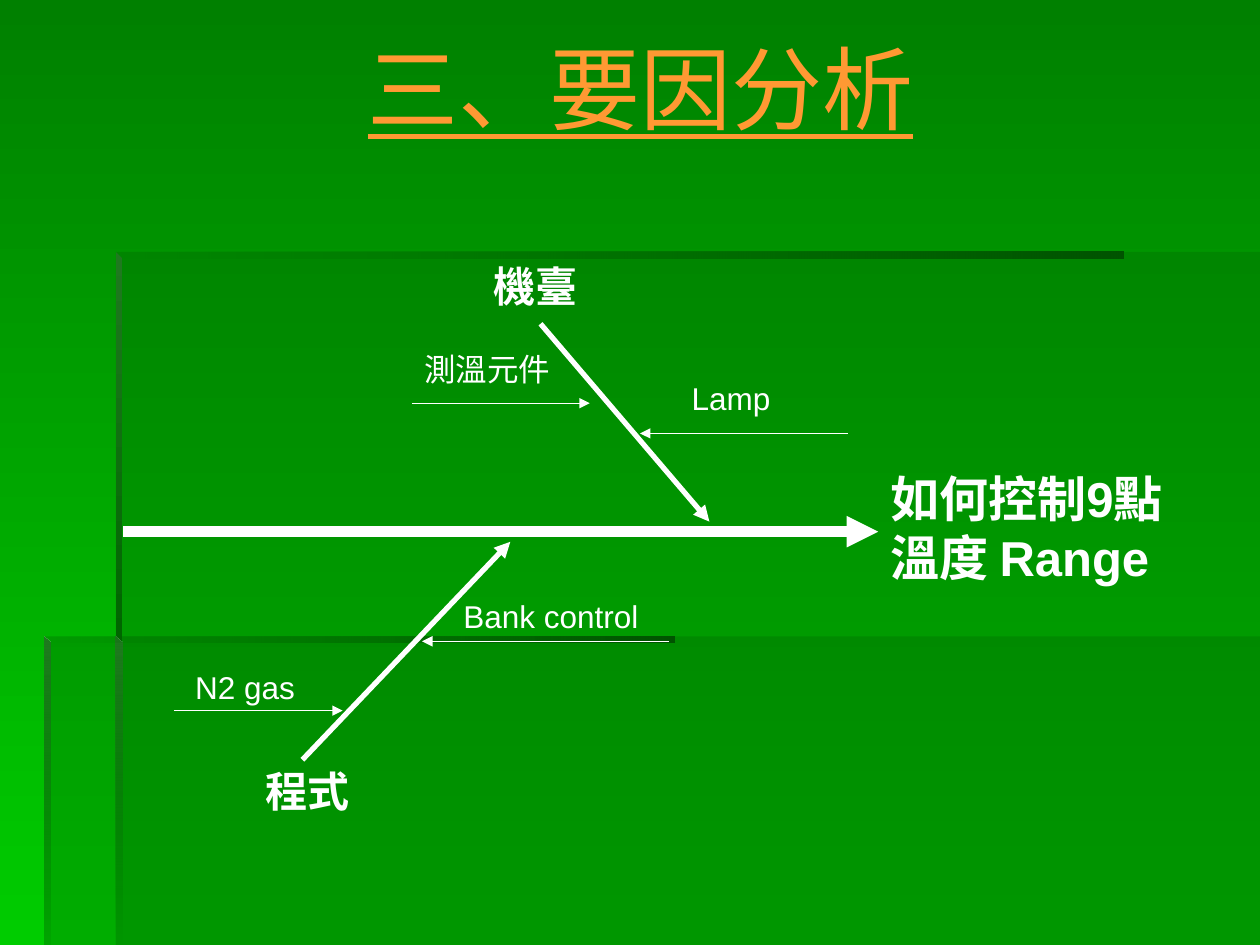
import pptx
import pptx.util
import pptx.dml.color
import pptx.enum.shapes
import pptx.enum.text
import pptx.oxml.ns
from lxml import etree

RGBColor = pptx.dml.color.RGBColor
WHITE = RGBColor(0xFF, 0xFF, 0xFF)
ORANGE = RGBColor(0xFF, 0x99, 0x33)
TOP_GREEN = RGBColor(0x00, 0x80, 0x00)
BOTTOM_GREEN = RGBColor(0x00, 0xCC, 0x00)
PANEL = RGBColor(0x00, 0x66, 0x00)
SHADE = RGBColor(0x00, 0x54, 0x00)
LIGHT = RGBColor(0x1F, 0x79, 0x1F)

COLS, ROWS = 100, 75  # grid over the whole slide
CELL = pptx.util.Inches(0.1)
EDGE = 0.5            # thickness of a bevel, in cells
qn = pptx.oxml.ns.qn


def cells(n):
    return pptx.util.Emu(round(n * CELL))


def write(tf, text, size, color=WHITE, font="Arial", bold=False,
          underline=False, align=None):
    p = tf.paragraphs[0]
    p.alignment = align
    r = p.add_run()
    r.text = text
    f = r.font
    f.size, f.name, f.bold, f.underline = pptx.util.Pt(size), font, bold, underline
    f.color.rgb = color


def label(s, box, x, y, w, h, text, size, bold=False):
    tb = s.shapes.add_textbox(*map(cells, (box[0] + x, box[1] + y, w, h)))
    tb.text_frame.word_wrap = True
    write(tb.text_frame, text, size, bold=bold)


def arrow(s, box, start, end, width):
    x, y = box[:2]
    c = s.shapes.add_connector(
        pptx.enum.shapes.MSO_CONNECTOR.STRAIGHT,
        cells(x + start[0]), cells(y + start[1]),
        cells(x + end[0]), cells(y + end[1]))
    c.line.color.rgb = WHITE
    c.line.width = pptx.util.Pt(width)
    spPr = c._element.spPr
    etree.SubElement(spPr.find(qn("a:ln")), qn("a:tailEnd"), type="triangle")
    etree.SubElement(spPr, qn("a:effectLst"))


def set_alpha(element, percent):
    for clr in element.iter(qn("a:srgbClr")):
        etree.SubElement(clr, qn("a:alpha"), val=str(percent * 1000))


def gradient(fill, colors, angle):
    fill.gradient()
    fill.gradient_angle = angle
    for stop, color in zip(fill.gradient_stops, colors):
        stop.color.rgb = color


def outline(s, points):
    pts = [(cells(x), cells(y)) for x, y in points]
    fb = s.shapes.build_freeform(*pts[0])
    fb.add_line_segments(pts[1:], close=True)
    sp = fb.convert_to_shape()
    sp.shadow.inherit = False
    sp.line.fill.background()
    return sp


def panel(s, points):
    sp = outline(s, points)
    sp.fill.solid()
    sp.fill.fore_color.rgb = PANEL
    set_alpha(sp._element.spPr, 30)


def bevel(s, points, colors, alphas, angle):
    sp = outline(s, points)
    gradient(sp.fill, colors, angle)
    for gs, alpha in zip(sp._element.spPr.iter(qn("a:gs")), alphas):
        set_alpha(gs, alpha)


def top_bevel(s, x, y, length):
    bevel(s, [(x, y), (x, y + EDGE), (x + length, y + EDGE), (x + length, y)],
          (PANEL, SHADE), (0, 100), 0)


def side_bevel(s, x, y, bottom, end_alpha):
    bevel(s, [(x, y), (x, bottom), (x + EDGE, bottom), (x + EDGE, y + EDGE)],
          (LIGHT, PANEL), (100, end_alpha), 270)


def backdrop(s, box):
    """Two overlapping sunken panels that run off the right and bottom edges."""
    left, top, right, bottom = box
    inner, step = left + 5.7, top + 30.5
    panel(s, [(inner, step), (inner, bottom), (right, bottom), (right, step)])
    panel(s, [(inner, step), (left, step), (left, bottom), (right, bottom),
              (right, top), (inner, top)])
    top_bevel(s, inner, top, 80)
    side_bevel(s, inner, top, step + EDGE, 100)
    side_bevel(s, inner, step, bottom, 0)
    top_bevel(s, left, step, 50)
    side_bevel(s, left, step, bottom, 10)


def title(s, box, text):
    sp = s.shapes.title
    sp.left, sp.top, sp.width, sp.height = map(cells, box)
    tf = sp.text_frame
    tf.auto_size = pptx.enum.text.MSO_AUTO_SIZE.NONE
    tf.vertical_anchor = pptx.enum.text.MSO_ANCHOR.MIDDLE
    tf.margin_bottom = cells(box[3] / 2)  # keeps the heading in the upper half
    write(tf, text, 52, ORANGE, "Montserrat", underline=True,
          align=pptx.enum.text.PP_ALIGN.CENTER)


def fishbone(s, box):
    spine = box[3] / 2
    arrow(s, box, (0, spine), (59.9, spine), 6)
    for start, end in [((33.1, 5.5), (46.5, 21.2)), ((14.2, 40.1), (30.7, 22.8))]:
        arrow(s, box, start, end, 3)
    for x1, x2, y, tx, ty, tw, text in [
            (4, 17.4, 36.2, 4.7, 32.3, 13.4, "N2 gas"),
            (43.3, 23.7, 30.7, 26, 26.7, 25.2, "Bank control"),
            (22.9, 37, 11.8, 22.9, 7.1, 12.6, "測溫元件"),
            (57.5, 41, 14.2, 44.1, 9.4, 15, "Lamp")]:
        arrow(s, box, (x1, y), (x2, y), 0.75)
        label(s, box, tx, ty, tw, 4, text, 18)
    label(s, box, 10.3, 40.1, 11, 5, "程式", 24, bold=True)
    label(s, box, 28.4, 0, 12.6, 5, "機臺", 24, bold=True)
    label(s, box, 59.9, 16.5, 25.2, 15, "如何控制9點溫度 Range", 28, bold=True)


def main():
    prs = pptx.Presentation()
    prs.slide_width, prs.slide_height = cells(COLS), cells(ROWS)
    s = prs.slides.add_slide(prs.slide_layouts[5])
    gradient(s.background.fill, (TOP_GREEN, BOTTOM_GREEN), 270)
    backdrop(s, (3.5, 20, COLS, ROWS))
    title(s, (5, 2.7, 91.7, 15.7), "三、要因分析")
    fishbone(s, (9.8, 20.2, 85.1, 44))
    prs.save("out.pptx")


if __name__ == "__main__":
    main()
